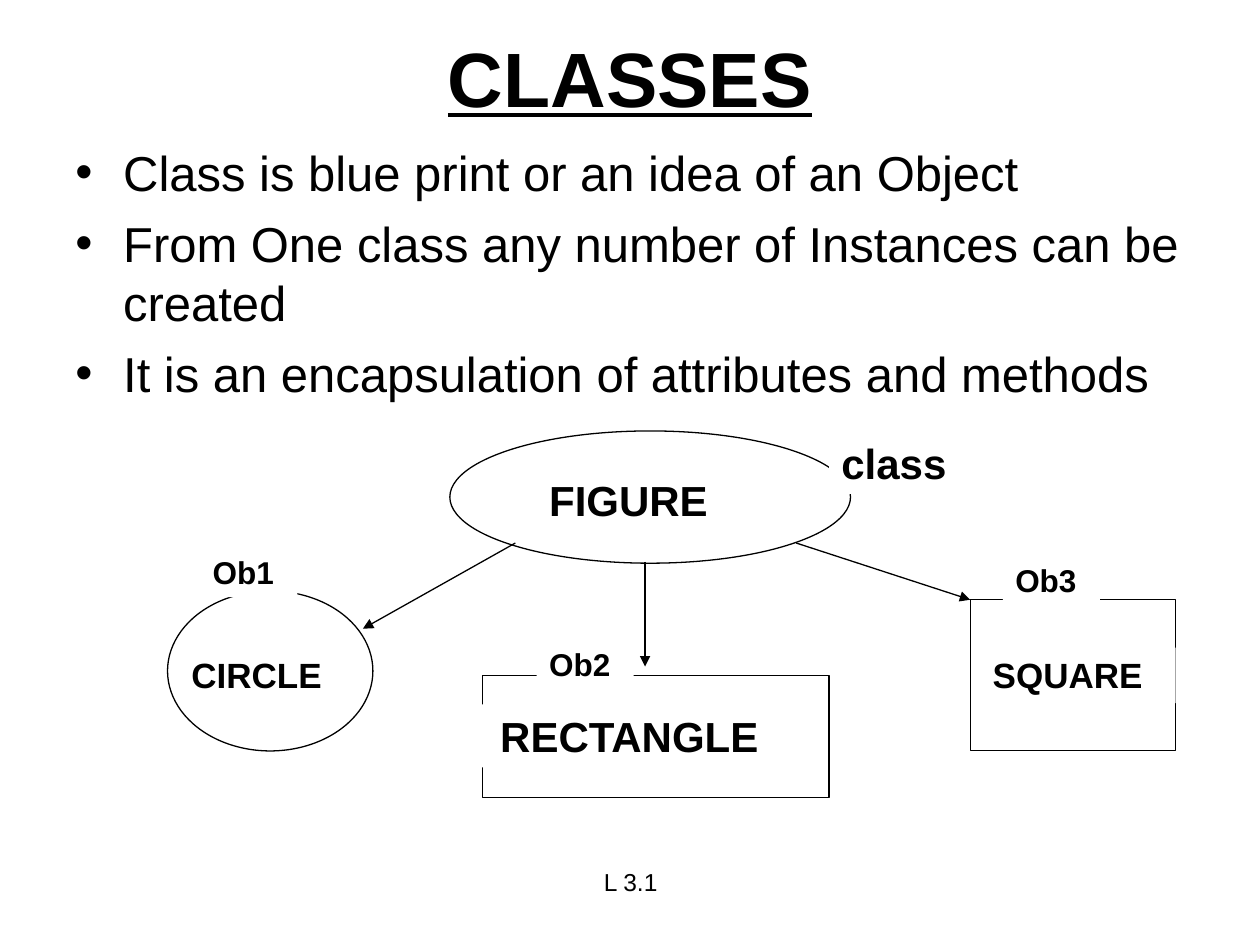
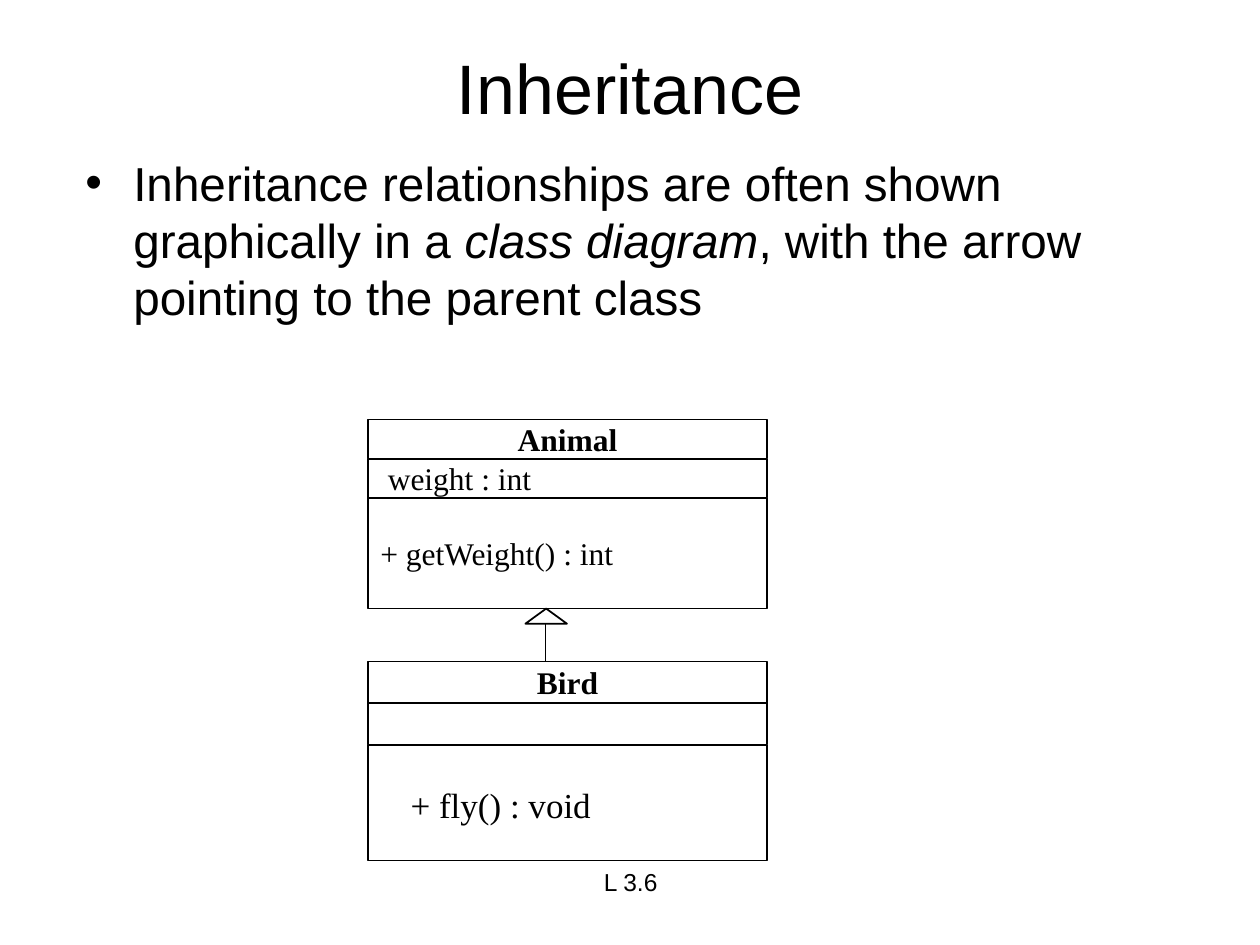
from dataclasses import dataclass

from lxml.etree import SubElement
from pptx import Presentation
from pptx.dml.color import RGBColor
from pptx.enum.shapes import MSO_CONNECTOR, MSO_SHAPE
from pptx.enum.text import MSO_ANCHOR, PP_ALIGN
from pptx.oxml.ns import qn
from pptx.util import Inches, Pt


@dataclass(frozen=True)
class Theme:
    ink: RGBColor = RGBColor(0, 0, 0)
    paper: RGBColor = RGBColor(255, 255, 255)
    sans: str = "Arial"
    serif: str = "Times New Roman"
    bullet_indent: float = 0.38
    footer_size: float = 14
    thin_line: float = 0.75
    class_line: float = 1
    small: float = 18
    medium: float = 20
    large: float = 24


theme = Theme()


def add_text(page, place, paragraphs, size, shape=None, font=theme.sans, bold=False,
             underline=False, align=PP_ALIGN.LEFT, anchor=MSO_ANCHOR.TOP, fill=False,
             line=None, bullet=False, space=0, indent=0, inset_top=0.05, wrap=True):
    """Add a text box or preset shape; each paragraph is a list of (text, italic)."""
    place = [Inches(length) for length in place]
    if shape is None:
        box = page.shapes.add_textbox(*place)
    else:
        box = page.shapes.add_shape(shape, *place)
        box.shadow.inherit = False
    if fill:
        box.fill.solid()
        box.fill.fore_color.rgb = theme.paper
    if line:
        box.line.color.rgb = theme.ink
        box.line.width = Pt(line)
    frame = box.text_frame
    frame.word_wrap = wrap
    frame.vertical_anchor = anchor
    frame.margin_left = frame.margin_right = Inches(0.1)
    frame.margin_top, frame.margin_bottom = Inches(inset_top), Inches(0.05)
    for number, spans in enumerate(paragraphs):
        para = frame.add_paragraph() if number else frame.paragraphs[0]
        properties = para._p.get_or_add_pPr()
        if bullet:
            properties.set("marL", str(Inches(theme.bullet_indent)))
            properties.set("indent", str(-Inches(theme.bullet_indent)))
            SubElement(properties, qn("a:buFont"), typeface=theme.sans)
            SubElement(properties, qn("a:buChar"), char="•")
        elif indent:
            properties.set("marL", str(Inches(indent)))
        para.alignment = align
        if number:
            para.space_before = Pt(space)
        for text, italic in spans:
            span = para.add_run()
            span.text = text
            span.font.name = font
            span.font.size = Pt(size)
            span.font.bold = bold
            span.font.italic = italic
            span.font.underline = underline
            span.font.color.rgb = theme.ink
    return box


def add_line(page, start, end, width, arrow=False):
    line = page.shapes.add_connector(
        MSO_CONNECTOR.STRAIGHT, *[Inches(length) for length in (*start, *end)])
    line.line.color.rgb = theme.ink
    line.line.width = Pt(width)
    if arrow:
        SubElement(line.line._get_or_add_ln(), qn("a:tailEnd"), type="triangle")
    SubElement(line._element.spPr, qn("a:effectLst"))
    return line


deck = Presentation()
deck.slide_width, deck.slide_height = Inches(10), Inches(7.5)

# Titles, bullets and footers of both slides
contents = [
    dict(title="CLASSES", title_place=(0.5, 0.17, 9, 0.87),
         title_format=dict(size=44, bold=True, underline=True),
         body_place=(0.5, 1.08, 9, 2.17), body_size=28, footer="L 3.1",
         bullets=[[("Class is blue print or an idea of an Object", False)],
                  [("From One class any number of Instances can be created", False)],
                  [("It is an encapsulation of attributes and methods", False)]]),
    dict(title="Inheritance", title_place=(0.5, 0.3, 9, 0.78),
         title_format=dict(size=40),
         body_place=(0.58, 1.17, 8.5, 1.58), body_size=27.2, footer="L 3.6",
         bullets=[[("Inheritance relationships are often shown graphically in a ", False),
                   ("class diagram", True),
                   (", with the arrow pointing to the parent class", False)]]),
]
pages = []
for content in contents:
    page = deck.slides.add_slide(deck.slide_layouts[6])
    add_text(page, content["title_place"], [[(content["title"], False)]],
             align=PP_ALIGN.CENTER, anchor=MSO_ANCHOR.MIDDLE, **content["title_format"])
    add_text(page, content["body_place"], content["bullets"], content["body_size"],
             bullet=True, space=7)
    add_text(page, (3.42, 6.83, 3.17, 0.52), [[(content["footer"], False)]],
             theme.footer_size, align=PP_ALIGN.CENTER)
    pages.append(page)
classes_page, inheritance_page = pages

# Figure class and its objects: outline, then the name on top of it
figures = [
    (MSO_SHAPE.OVAL, (3.57, 3.42, 3.18, 1.05),
     "FIGURE", (4.26, 3.72, 1.72, 0.5), theme.large, PP_ALIGN.LEFT),
    (MSO_SHAPE.OVAL, (1.33, 4.69, 1.63, 1.27),
     "CIRCLE", (1.42, 5.14, 1.46, 0.44), theme.medium, PP_ALIGN.LEFT),
    (MSO_SHAPE.RECTANGLE, (3.83, 5.36, 2.75, 0.97),
     "RECTANGLE", (3.66, 5.59, 2.67, 0.5), theme.large, PP_ALIGN.CENTER),
    (MSO_SHAPE.RECTANGLE, (7.7, 4.76, 1.63, 1.2),
     "SQUARE", (7.78, 5.14, 1.55, 0.44), theme.medium, PP_ALIGN.LEFT),
]
for outline, outline_place, name, name_place, size, align in figures:
    add_text(classes_page, outline_place, [], size, shape=outline, fill=True,
             line=theme.thin_line)
    add_text(classes_page, name_place, [[(name, False)]], size, bold=True, fill=True,
             align=align)

# Arrows from the class to its objects
for start, end in [((4.09, 4.31), (2.88, 4.99)),
                   ((5.12, 4.46), (5.12, 5.29)),
                   ((6.32, 4.31), (7.7, 4.76))]:
    add_line(classes_page, start, end, theme.thin_line, arrow=True)

# Labels beside the outlines
for label, place, size, inset_top in [
        ("Ob1", (1.59, 4.39, 0.77, 0.35), theme.small, 0),
        ("Ob2", (4.26, 5.07, 0.77, 0.4), theme.small, 0.05),
        ("Ob3", (7.96, 4.4, 0.77, 0.4), theme.small, 0.05),
        ("class", (6.58, 3.42, 1.2, 0.5), theme.large, 0.05)]:
    add_text(classes_page, place, [[(label, False)]], size, bold=True, fill=True,
             inset_top=inset_top)

# Class diagram: name, attributes and methods stacked in compartments
class_boxes = [
    (3.33, [("Animal", 0.31), ("weight : int", 0.31), ("+ getWeight() : int", 0.88)]),
    (5.25, [("Bird", 0.33), ("", 0.33), ("", 0.92)]),
]
for top, compartments in class_boxes:
    for row, (text, height) in enumerate(compartments):
        add_text(inheritance_page, (2.92, top, 3.17, height),
                 [[(text, False)]] if text else [], theme.small,
                 shape=MSO_SHAPE.RECTANGLE, font=theme.serif, bold=row == 0,
                 align=PP_ALIGN.LEFT if row else PP_ALIGN.CENTER,
                 anchor=MSO_ANCHOR.MIDDLE, fill=True, line=theme.class_line,
                 indent=0.06 if row == 1 else 0)
        top += height
add_text(inheritance_page, (3.16, 6.17, 1.63, 0.44), [[("+ fly() : void", False)]],
         theme.medium, font=theme.serif, align=PP_ALIGN.CENTER, wrap=False)

# Inheritance arrow with a hollow head
add_line(inheritance_page, (4.33, 5.25), (4.33, 4.95), theme.class_line)
add_text(inheritance_page, (4.17, 4.83, 0.33, 0.12), [], theme.small,
         shape=MSO_SHAPE.ISOSCELES_TRIANGLE, fill=True, line=theme.class_line)

deck.save("out.pptx")
